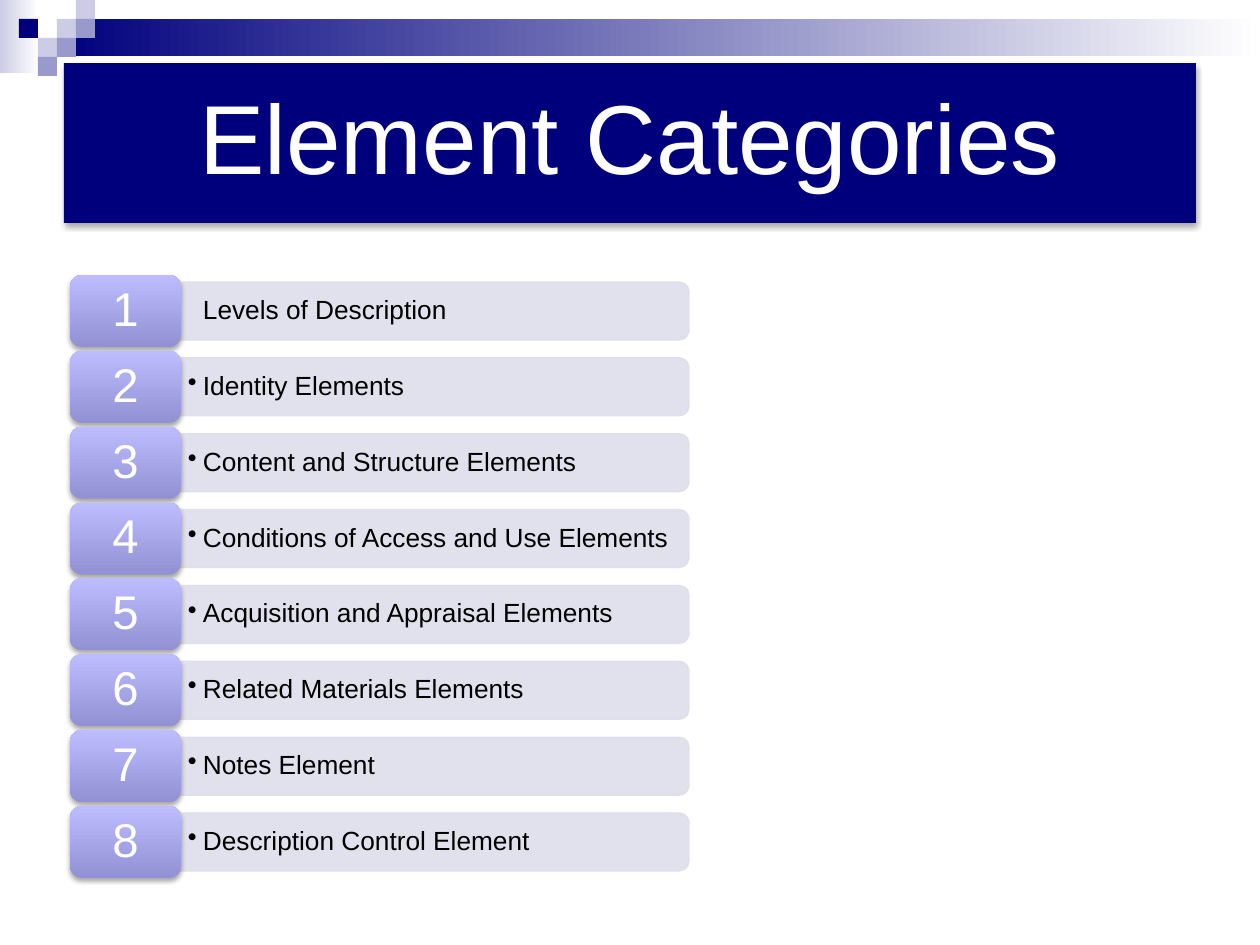
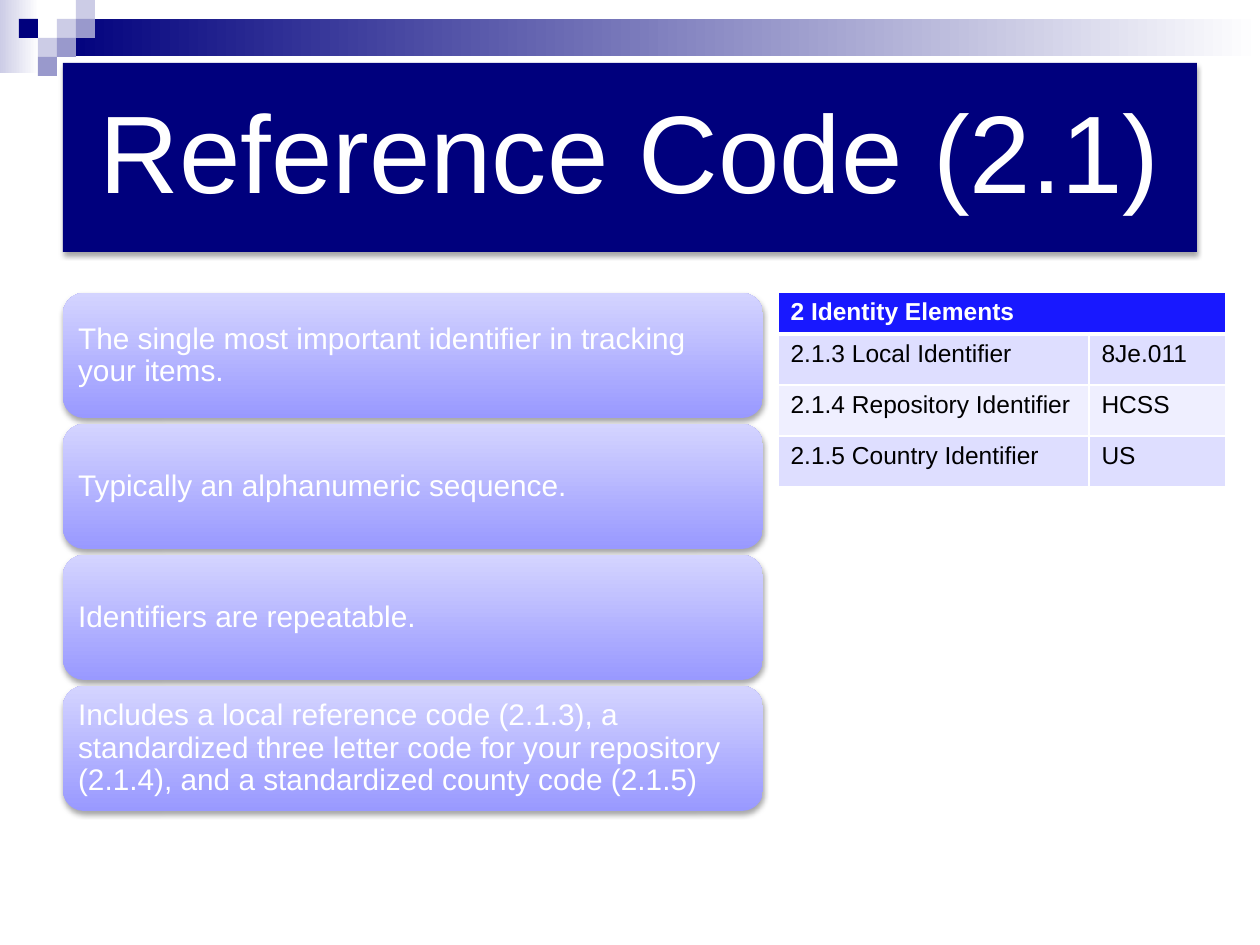
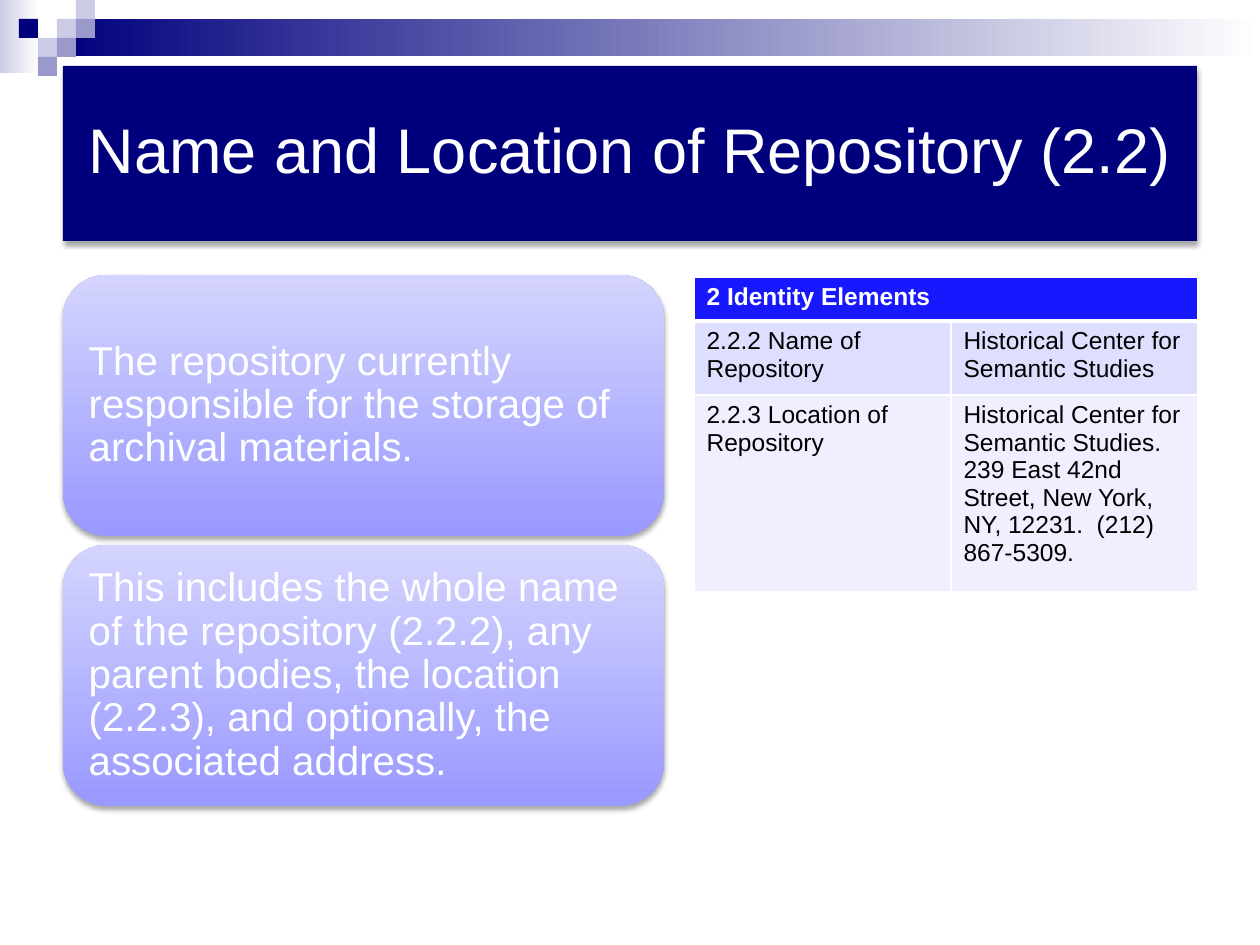
from lxml import etree
from pptx import Presentation
from pptx.dml.color import RGBColor
from pptx.enum.shapes import MSO_SHAPE
from pptx.enum.text import MSO_ANCHOR, PP_ALIGN
from pptx.oxml.ns import qn
from pptx.util import Emu, Pt

RECT = MSO_SHAPE.RECTANGLE
ROUND = MSO_SHAPE.ROUNDED_RECTANGLE
TAB = MSO_SHAPE.ROUND_2_SAME_RECTANGLE
MIDDLE = MSO_ANCHOR.MIDDLE
LEFT, CENTER = PP_ALIGN.LEFT, PP_ALIGN.CENTER

FONT = "Arial"
NAVY, WHITE, BLACK = "00007D", "FFFFFF", "000000"
PALE, MID = "CCCCE6", "9999CC"
BADGE = ("9191D4", "BCBCFF")
CARD = ("9999FF", "D4D4FF")
BAR = "DEDEEC"
HEAD, ODD, EVEN = "1818FF", "DEDEFF", "EFEFFF"

# Corner ornament: side and band as (box, colours), squares as (column, row, colour)
FADES = [((0, 0, 39, 73), (PALE, WHITE)), ((57, 19, 1203, 37), (NAVY, WHITE))]
STEP = 19
SQUARES = [(3, 1, PALE), (4, 0, PALE), (4, 1, MID), (2, 2, PALE),
           (1, 1, NAVY), (3, 2, MID), (2, 3, MID)]

TOPICS = [
    "Levels of Description",
    "Identity Elements",
    "Content and Structure Elements",
    "Conditions of Access and Use Elements",
    "Acquisition and Appraisal Elements",
    "Related Materials Elements",
    "Notes Element",
    "Description Control Element",
]

SLIDES = [
    {"title": ("Element Categories", (64, 63, 1132, 160), 56, 29),
     "topics": TOPICS},
    {"title": ("Reference Code (2.1)", (63, 63, 1134, 189), 63, 33),
     "cards": {
         "box": (63, 293, 700, 125), "pitch": 131, "size": 17, "pad": 9,
         "texts": [
             "The single most important identifier in tracking your items.",
             "Typically an alphanumeric sequence.",
             "Identifiers are repeatable.",
             "Includes a local reference code (2.1.3), a standardized three "
             "letter code for your repository (2.1.4), and a standardized "
             "county code (2.1.5)"]},
     "table": {
         "at": (778, 292), "cols": (311, 137), "rows": (40, 51, 51, 51),
         "cells": [
             ("2 Identity Elements", ""),
             ("2.1.3 Local Identifier", "8Je.011"),
             ("2.1.4 Repository Identifier", "HCSS"),
             ("2.1.5 Country Identifier", "US")]}},
    {"title": ("Name and Location of Repository (2.2)",
               (63, 66, 1134, 175), 36, 19),
     "cards": {
         "box": (63, 275, 601, 261), "pitch": 270, "size": 23, "pad": 13,
         "texts": [
             "The repository currently responsible for the storage of "
             "archival materials.",
             "This includes the whole name of the repository (2.2.2), any "
             "parent bodies, the location (2.2.3), and optionally, the "
             "associated address."]},
     "table": {
         "at": (694, 277), "cols": (257, 247), "rows": (44, 74, 197),
         "cells": [
             ("2 Identity Elements", ""),
             ("2.2.2 Name of Repository",
              "Historical Center for Semantic Studies"),
             ("2.2.3 Location of Repository",
              "Historical Center for Semantic Studies. 239 East 42nd Street, "
              "New York, NY, 12231.  (212) 867-5309.")]}},
]


def px(n):
    """Turn pixels into EMU."""
    return Emu(round(n * 914400 / 126))


def color(code):
    """Turn a hex string into a colour."""
    return RGBColor.from_string(code)


def node(parent, tag, **attrs):
    """Add a drawing element with attributes."""
    return etree.SubElement(parent, qn("a:" + tag),
                            {k: str(v) for k, v in attrs.items()})


def paint(fill, look, angle=0):
    """Fill with one colour, or with a gradient for a pair of colours."""
    if isinstance(look, str):
        fill.solid()
        fill.fore_color.rgb = color(look)
        return
    fill.gradient()
    fill.gradient_angle = angle
    for stop, code in zip(fill.gradient_stops, look):
        stop.color.rgb = color(code)


def add_box(slide, kind, box, look, angle=0, shade=False):
    """Add a shape without outline, with a soft shadow if asked."""
    shape = slide.shapes.add_shape(kind, *map(px, box))
    paint(shape.fill, look, angle)
    shape.line.fill.background()
    shape.shadow.inherit = False
    if shade:
        effects = shape.element.spPr.find(qn("a:effectLst"))
        cast = node(effects, "outerShdw", blurRad=Pt(3.1), dist=Pt(1.8),
                    dir=5400000, rotWithShape=0)
        node(node(cast, "srgbClr", val=BLACK), "alpha", val=35000)
    return shape


def style(para, size, code, bold=False):
    """Set the font of a paragraph's runs."""
    looks = {"name": FONT, "size": Pt(size), "bold": bold}
    for run in para.runs:
        for key, value in looks.items():
            setattr(run.font, key, value)
        run.font.color.rgb = color(code)


def write(shape, text, size, pads, align=LEFT, code=WHITE):
    """Write one middle-anchored paragraph and return it."""
    frame = shape.text_frame
    across, down = map(px, pads)
    looks = {"word_wrap": True, "vertical_anchor": MIDDLE,
             "margin_left": across, "margin_right": across,
             "margin_top": down, "margin_bottom": down}
    for key, value in looks.items():
        setattr(frame, key, value)
    para = frame.paragraphs[0]
    para.text = text
    para.alignment = align
    para.line_spacing = 0.9
    style(para, size, code)
    return para


def add_decor(slide, master):
    """Draw the corner ornament and move it to the master."""
    parts = [add_box(slide, RECT, box, pair) for box, pair in FADES]
    parts += [add_box(slide, RECT, (col * STEP, row * STEP, STEP, STEP), code)
              for col, row, code in SQUARES]
    for part in parts:
        master.shapes.element.append(part.element)


def add_title(slide, text, box, size, pad):
    """Add the title block."""
    shape = add_box(slide, RECT, box, NAVY, shade=True)
    write(shape, text, size, (pad, pad), CENTER)


def add_topics(slide, texts):
    """Add numbered badges, each with a bar; only the first has no bullet."""
    left, top, last, wide, high = 70, 275, 806, 111, 72
    long, thick, area = 509, 58, 52
    pitch = (last - top) / (len(texts) - 1)
    edge = left + wide - 1
    for i, text in enumerate(texts):
        y = top + i * pitch
        mid = y + high / 2
        bar = add_box(slide, TAB, (edge + (long - thick) / 2, mid - long / 2,
                                   thick, long), BAR)
        bar.rotation = 90
        bar.line.color.rgb = color(BAR)
        bar.line.width = Pt(0.75)
        for tint in list(bar.element.spPr.iter(qn("a:srgbClr"))):
            node(tint, "alpha", val=90000)
        label = slide.shapes.add_textbox(
            *map(px, (edge, mid - area / 2, long - 2, area)))
        para = write(label, text, 15, (8, 4), code=BLACK)
        props = para._p.get_or_add_pPr()
        props.set("marL", str(px(15)))
        props.set("indent", str(px(-15 if i else 0)))
        if i:
            node(props, "buChar", char="•")
        badge = add_box(slide, ROUND, (left, y, wide, high), BADGE, 90, True)
        write(badge, str(i + 1), 27, (14, 8), CENTER)


def add_cards(slide, box, pitch, size, pad, texts):
    """Stack rounded cards at an equal pitch."""
    left, top, wide, high = box
    for i, text in enumerate(texts):
        card = add_box(slide, ROUND, (left, top + i * pitch, wide, high),
                       CARD, 90, True)
        write(card, text, size, (pad, pad))


def add_edges(cell, widths):
    """Give a cell white borders: left, right, top, bottom."""
    props = cell._tc.get_or_add_tcPr()
    for i, (side, width) in enumerate(zip("LRTB", widths)):
        line = node(props, "ln" + side, w=Pt(width))
        node(node(line, "solidFill"), "srgbClr", val=WHITE)
        props.insert(i, line)


def add_grid(slide, at, cols, rows, cells):
    """Add a table with a merged header row and banded rows."""
    box = (*at, sum(cols), sum(rows))
    grid = slide.shapes.add_table(len(rows), len(cols), *map(px, box)).table
    for col, wide in zip(grid.columns, cols):
        col.width = px(wide)
    for r, (high, texts) in enumerate(zip(rows, cells)):
        grid.rows[r].height = px(high)
        look = (ODD if r % 2 else EVEN) if r else HEAD
        for c, text in enumerate(texts):
            cell = grid.cell(r, c)
            paint(cell.fill, look)
            add_edges(cell, (1, 1, 3 if r == 1 else 1, 1 if r else 3))
            if text:
                cell.text = text
                style(cell.text_frame.paragraphs[0], 14,
                      BLACK if r else WHITE, not r)
    grid.cell(0, 0).merge(grid.cell(0, len(cols) - 1))


def main():
    """Build the slides and save them."""
    deck = Presentation()
    deck.slide_width, deck.slide_height = px(1260), px(945)
    for i, page in enumerate(SLIDES):
        slide = deck.slides.add_slide(deck.slide_layouts[6])
        if i == 0:
            add_decor(slide, deck.slide_master)
        if "topics" in page:
            add_topics(slide, page["topics"])
        if "cards" in page:
            add_cards(slide, **page["cards"])
        add_title(slide, *page["title"])
        if "table" in page:
            add_grid(slide, **page["table"])
    deck.save("out.pptx")


main()
